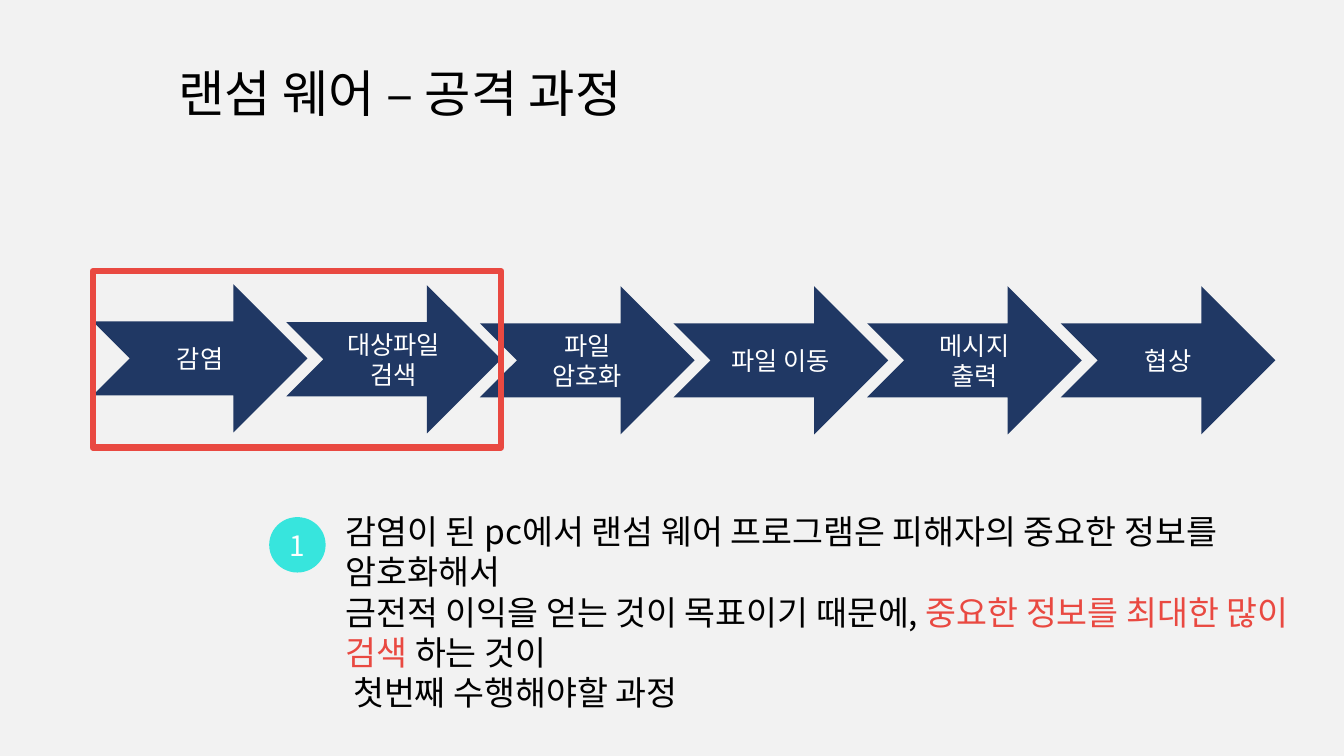
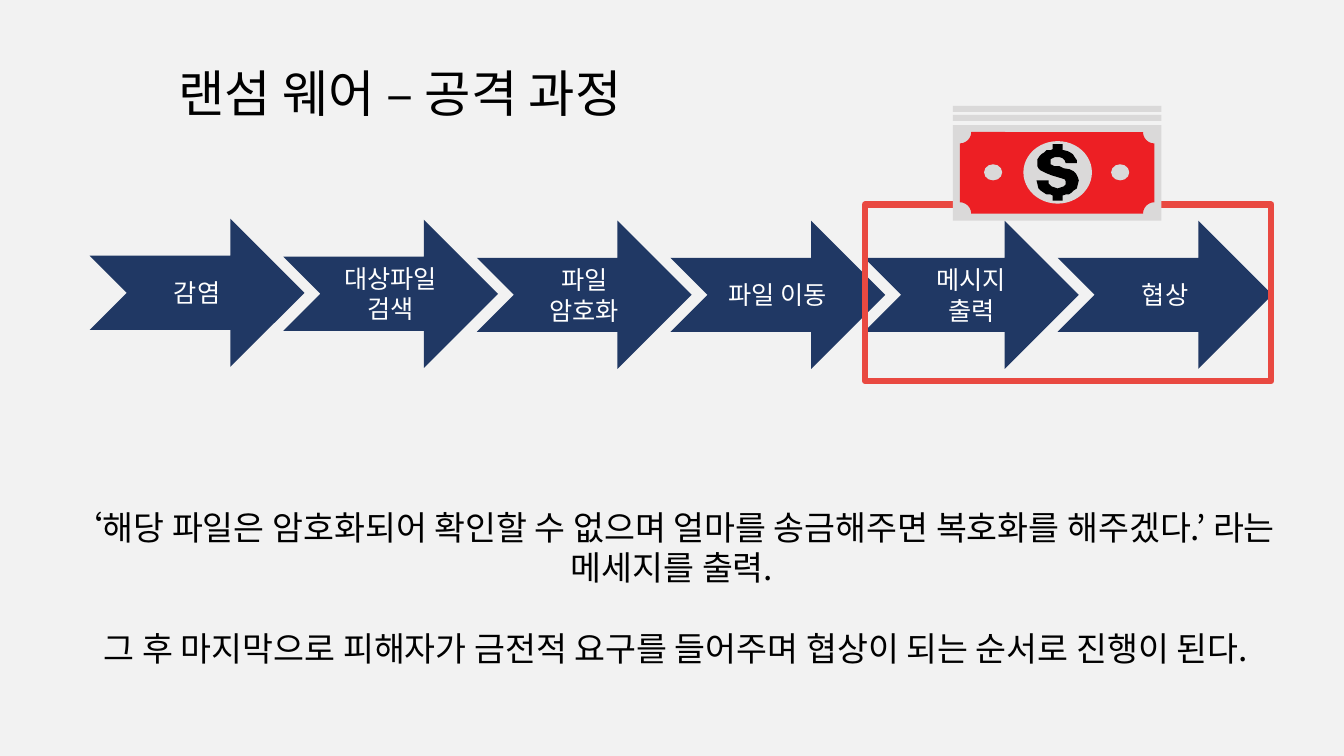
from pptx import Presentation
from pptx.dml.color import RGBColor
from pptx.enum.shapes import MSO_SHAPE
from pptx.enum.text import MSO_ANCHOR, MSO_AUTO_SIZE, PP_ALIGN
from pptx.oxml.xmlchemy import OxmlElement
from pptx.util import Pt

PX = 9144
FONT = "Noto Sans CJK KR"
PAPER = RGBColor(0xF2, 0xF2, 0xF2)
BLACK = RGBColor(0x00, 0x00, 0x00)
WHITE = RGBColor(0xFF, 0xFF, 0xFF)
NAVY = RGBColor(0x20, 0x38, 0x64)
CORAL = RGBColor(0xE9, 0x49, 0x41)
AQUA = RGBColor(0x37, 0xE5, 0xDD)
GRAY = RGBColor(0xDA, 0xD9, 0xD9)
RED = RGBColor(0xED, 0x1F, 0x24)

TITLE = "랜섬 웨어 – 공격 과정"
STEPS = ["감염", "대상파일 검색", "파일\n암호화", "파일 이동", "메시지\n출력", "협상"]
GOAL = [
    [("감염이 된 pc에서 랜섬 웨어 프로그램은 피해자의 중요한 정보를 암호화해서", BLACK)],
    [("금전적 이익을 얻는 것이 목표이기 때문에, ", BLACK),
     ("중요한 정보를 최대한 많이 검색 ", CORAL), ("하는 것이", BLACK)],
    [(" 첫번째 수행해야할 과정", BLACK)],
]
DEMAND = [
    [("‘해당 파일은 암호화되어 확인할 수 없으며 얼마를 송금해주면 복호화를 해주겠다.’ "
      "라는 메세지를 출력.", BLACK)],
    [(" 그 후 마지막으로 피해자가 금전적 요구를 들어주며 협상이 되는 순서로 진행이 된다.", BLACK)],
]
DOLLAR = [
    (40, 31), (39, 29), (37, 27), (33, 25), (27, 24), (23, 22), (18, 22), (14, 20),
    (14, 15), (16, 14), (18, 13), (23, 13), (26, 14), (28, 16), (29, 19), (40, 19),
    (40, 16), (38, 13), (36, 10), (33, 8), (31, 7), (27, 6), (26, 6), (26, 0),
    (16, 0), (16, 5), (14, 6), (10, 6), (8, 8), (5, 10), (3, 12), (1, 15),
    (1, 22), (2, 24), (4, 26), (6, 27), (10, 29), (15, 31), (25, 34), (28, 35),
    (29, 37), (29, 40), (27, 42), (24, 43), (21, 44), (18, 43), (15, 42), (12, 39),
    (12, 36), (0, 36), (1, 40), (2, 44), (4, 46), (7, 48), (10, 50), (14, 50),
    (16, 51), (16, 56), (26, 56), (26, 51), (29, 50), (32, 50), (35, 48), (37, 46),
    (40, 44), (41, 40), (42, 36), (41, 33),
]


class Deck:
    """Holds the shared style and the current slide."""

    def __init__(self):
        """Set the page size and background."""
        self.prs = Presentation()
        self.prs.slide_width = 1333 * PX
        self.prs.slide_height = 750 * PX
        fill = self.prs.slide_master.background.fill
        fill.solid()
        fill.fore_color.rgb = PAPER

    def style(self, para, size, color, align):
        """Format one paragraph."""
        para.alignment = align
        para.font.size = Pt(size)
        para.font.color.rgb = color
        para.font.name = FONT
        asian = OxmlElement("a:ea")
        asian.set("typeface", FONT)
        para._p.get_or_add_pPr().get_or_add_defRPr().append(asian)

    def page(self, text):
        """Start a slide with its title."""
        self.slide = self.prs.slides.add_slide(self.prs.slide_layouts[5])
        self.shapes = self.slide.shapes
        title = self.shapes.title
        title.left, title.top, title.width, title.height = (
            n * PX for n in (167, 63, 521, 64))
        frame = title.text_frame
        frame.text = text
        frame.auto_size = MSO_AUTO_SIZE.NONE
        frame.vertical_anchor = MSO_ANCHOR.MIDDLE
        para = frame.paragraphs[0]
        para.line_spacing = 0.9
        self.style(para, 36, BLACK, PP_ALIGN.LEFT)

    def paint(self, shape, fill, line=None):
        """Set the fill and line of a shape and drop its shadow."""
        shape.shadow.inherit = False
        if fill is None:
            shape.fill.background()
        else:
            shape.fill.solid()
            shape.fill.fore_color.rgb = fill
        if line is None:
            shape.line.fill.background()
        else:
            shape.line.color.rgb = line
            shape.line.width = Pt(4.5)

    def shape(self, kind, box, fill, line=None, text="", size=18):
        """Add a preset shape with an optional centred label."""
        shape = self.shapes.add_shape(kind, *(n * PX for n in box))
        self.paint(shape, fill, line)
        if text:
            shape.text_frame.text = text
            shape.text_frame.vertical_anchor = MSO_ANCHOR.MIDDLE
            for para in shape.text_frame.paragraphs:
                self.style(para, size, WHITE, PP_ALIGN.CENTER)
        return shape

    def steps(self, left, top):
        """Add the row of process arrows."""
        for i, step in enumerate(STEPS):
            box = (left + 192 * i, top + min(i, 2), 213, 147)
            self.shape(MSO_SHAPE.NOTCHED_RIGHT_ARROW, box, NAVY, text=step)

    def mark(self, *box):
        """Frame the steps under discussion."""
        self.shape(MSO_SHAPE.RECTANGLE, box, None, CORAL)

    def body(self, box, paras, align=PP_ALIGN.LEFT, gap=0):
        """Add body text made of coloured runs."""
        frame = self.shapes.add_textbox(*(n * PX for n in box)).text_frame
        frame.word_wrap = True
        frame.auto_size = MSO_AUTO_SIZE.SHAPE_TO_FIT_TEXT
        for i, parts in enumerate(paras):
            para = frame.add_paragraph() if i else frame.paragraphs[0]
            self.style(para, 24, BLACK, align)
            if i:
                para.space_before = Pt(gap)
            for text, color in parts:
                run = para.add_run()
                run.text = text
                if color != BLACK:
                    run.font.color.rgb = color

    def cash(self, left, top):
        """Add a grouped stack of bank notes."""
        self.shapes = self.slide.shapes.add_group_shape().shapes
        for y, tall in ((0, 6), (9, 6), (19, 95)):
            self.shape(MSO_SHAPE.RECTANGLE, (left, top + y, 207, tall), GRAY)
        note = self.shape(MSO_SHAPE.PLAQUE, (left + 7, top + 26, 193, 81), RED)
        note.adjustments[0] = 0.14
        for x, y, wide, tall in ((70, 35, 68, 62), (31, 58, 18, 16), (157, 58, 18, 16)):
            self.shape(MSO_SHAPE.OVAL, (left + x, top + y, wide, tall), GRAY)
        points = [(left + 83 + x, top + 38 + y) for x, y in DOLLAR]
        sign = self.shapes.build_freeform(*points[0], scale=PX)
        sign.add_line_segments(points[1:], close=True)
        self.paint(sign.convert_to_shape(), BLACK)
        self.shapes = self.slide.shapes


def main():
    """Build both slides and save them."""
    deck = Deck()

    deck.page(TITLE)
    deck.body((333, 502, 1000, 131), GOAL)
    deck.steps(92, 282)
    deck.mark(92, 269, 405, 175)
    deck.shape(MSO_SHAPE.OVAL, (267, 513, 56, 55), AQUA, text="1", size=20)

    deck.page(TITLE)
    deck.steps(89, 217)
    deck.mark(858, 203, 403, 175)
    deck.body((0, 498, 1333, 131), DEMAND, PP_ALIGN.CENTER, gap=29)
    deck.cash(945, 105)

    deck.prs.save("out.pptx")


if __name__ == "__main__":
    main()
